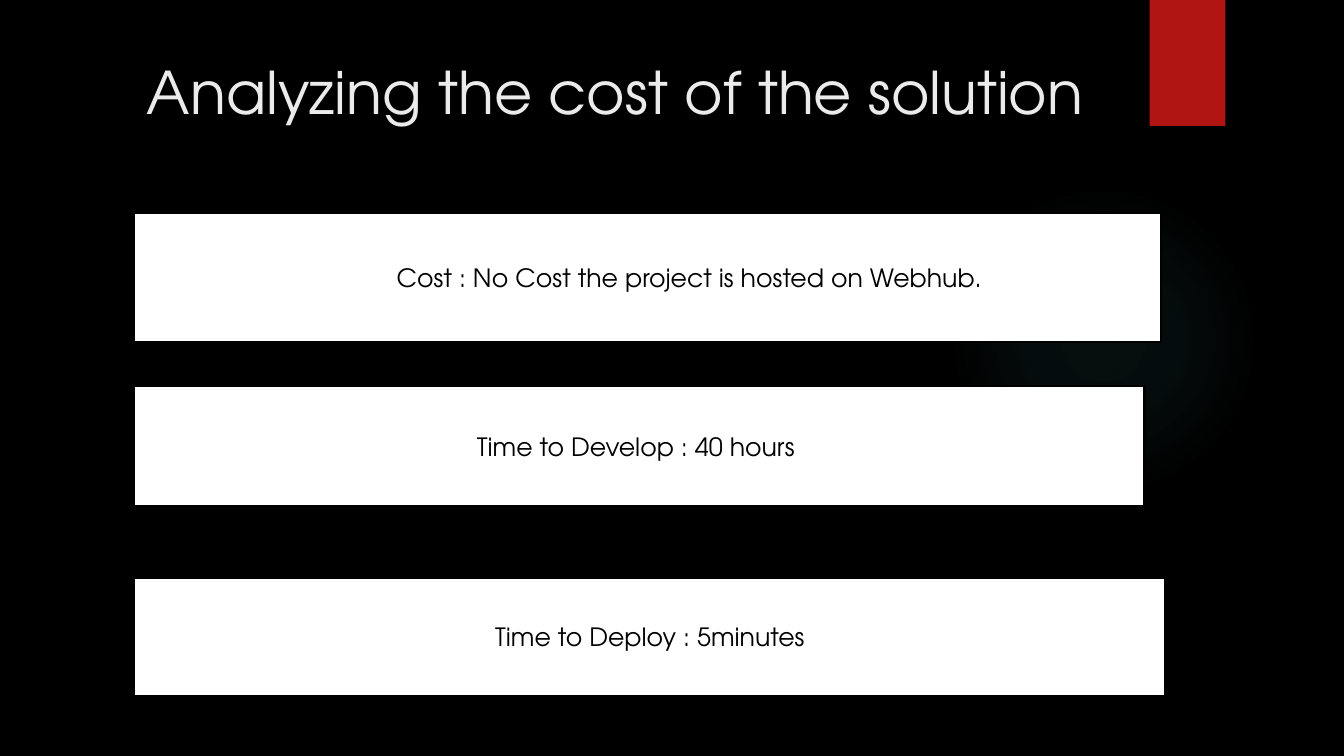
from lxml import etree
from pptx import Presentation
from pptx.dml.color import RGBColor
from pptx.enum.shapes import MSO_SHAPE
from pptx.enum.text import MSO_ANCHOR, PP_ALIGN
from pptx.oxml.ns import qn
from pptx.util import Pt

RECT, OVAL = MSO_SHAPE.RECTANGLE, MSO_SHAPE.OVAL
TOP, MIDDLE = MSO_ANCHOR.TOP, MSO_ANCHOR.MIDDLE
LEFT, CENTER = PP_ALIGN.LEFT, PP_ALIGN.CENTER

PX = 9525  # EMU per px, 96 px to the inch
WIDE, HIGH = 1280, 720
THEME = {
    "font": "TeX Gyre Adventor",
    "back": "000000", "ribbon": "B01513", "glow": "50B9C1",
    "title": "EBEBEB", "card": "FFFFFF", "ink": "000000",
    "title_pt": 42, "card_pt": 18, "line_pt": 1.5,
}
GLOW = [(0, 7), (36, 6), (69, 0)]  # stop and opacity in percent

# Box, left and right inset, words
CARDS = [
    ((128, 203, 978, 123), (89, 10),
     "Cost : No Cost the project is hosted on Webhub."),
    ((128, 368, 962, 114), (10, 17), "Time to Develop : 40 hours"),
    ((128, 550, 982, 113), (10, 10), "Time to Deploy : 5minutes"),
]


def color(name):
    return RGBColor.from_string(THEME[name])


def scale(box):
    return [n * PX for n in box]


def add_form(slide, kind, box, fill):
    form = slide.shapes.add_shape(kind, *scale(box))
    form.shadow.inherit = False
    form.fill.solid()
    form.fill.fore_color.rgb = color(fill)
    form.line.fill.background()
    return form


def put_text(shape, words, role, align, anchor, insets):
    frame = shape.text_frame
    left, right = scale(insets)
    look = {"word_wrap": True, "vertical_anchor": anchor,
            "margin_left": left, "margin_right": right}
    for key, value in look.items():
        setattr(frame, key, value)
    para = frame.paragraphs[0]
    para.alignment = align
    run = para.add_run()
    run.text = words
    size, ink = role
    for key, value in {"name": THEME["font"], "size": Pt(THEME[size])}.items():
        setattr(run.font, key, value)
    run.font.color.rgb = color(ink)


def add_glow(slide, box):
    form = add_form(slide, OVAL, box, "glow")
    solid = form.fill._xPr.find(qn("a:solidFill"))
    grad = etree.Element(qn("a:gradFill"), rotWithShape="1")
    stops = etree.SubElement(grad, qn("a:gsLst"))
    for pos, alpha in GLOW:
        stop = etree.SubElement(stops, qn("a:gs"), pos=str(pos * 1000))
        tint = etree.SubElement(stop, qn("a:srgbClr"), val=THEME["glow"])
        etree.SubElement(tint, qn("a:alpha"), val=str(alpha * 1000))
    ring = etree.SubElement(grad, qn("a:path"), path="circle")
    etree.SubElement(ring, qn("a:fillToRect"),
                     {side: "50000" for side in "ltrb"})
    solid.getparent().replace(solid, grad)


def add_title(slide, box, words):
    area = slide.shapes.add_textbox(*scale(box))
    put_text(area, words, ("title_pt", "title"), LEFT, TOP, (0, 0))


def add_card(slide, box, insets, words):
    card = add_form(slide, RECT, box, "card")
    card.line.color.rgb = color("ink")
    card.line.width = Pt(THEME["line_pt"])
    put_text(card, words, ("card_pt", "ink"), CENTER, MIDDLE, insets)


def main():
    deck = Presentation()
    deck.slide_width, deck.slide_height = scale((WIDE, HIGH))
    slide = deck.slides.add_slide(deck.slide_layouts[6])
    back = slide.background.fill
    back.solid()
    back.fore_color.rgb = color("back")

    # Backdrop
    add_glow(slide, (903, 176, 296, 296))
    add_form(slide, RECT, (1095, 0, 72, 120), "ribbon")

    # Heading and facts
    add_title(slide, (140, 48, 916, 147), "Analyzing the cost of the solution")
    for box, insets, words in CARDS:
        add_card(slide, box, insets, words)

    deck.save("out.pptx")


if __name__ == "__main__":
    main()
